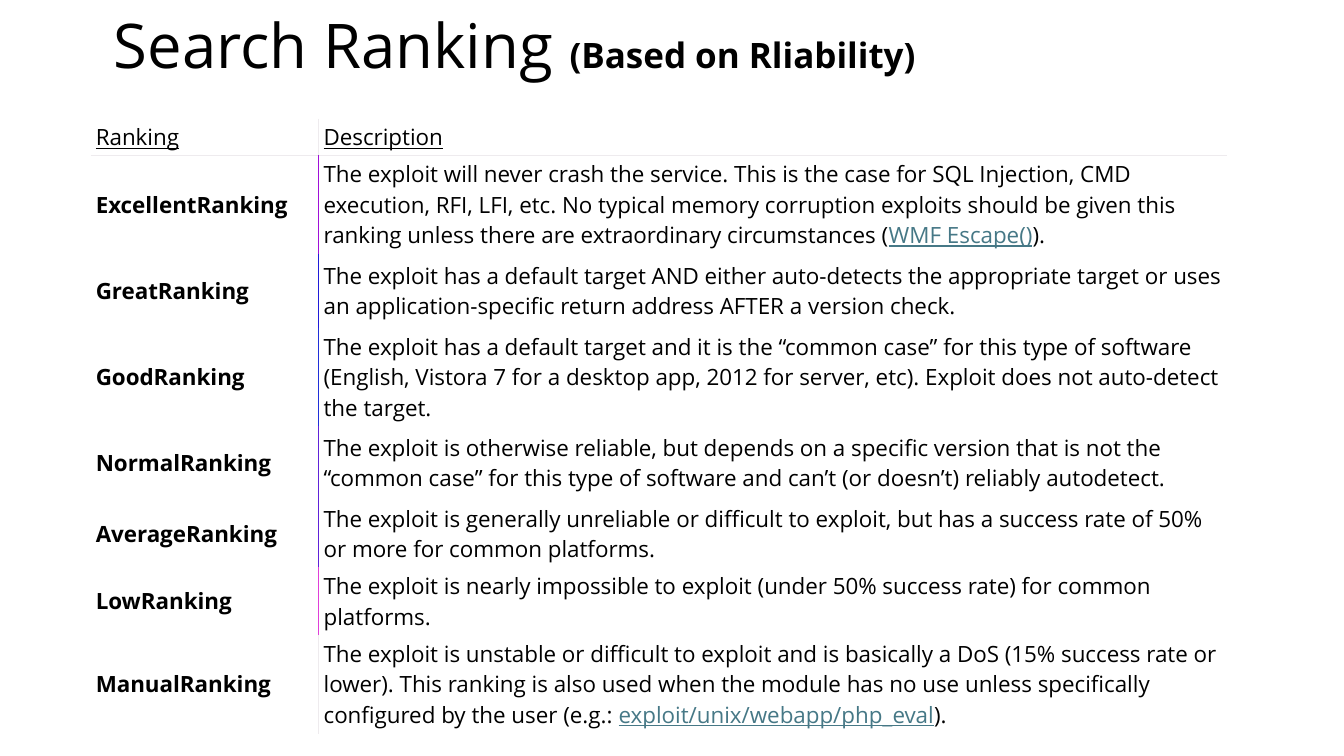
from dataclasses import dataclass

from lxml import etree
from pptx import Presentation
from pptx import util as u
from pptx.dml.color import RGBColor
from pptx.enum import text
from pptx.oxml import ns

# Content: each text is a list of (words, style) spans
TITLE = [("Search Ranking ", "title"), ("(Based on Rliability)", "subtitle")]
HEADER = ("Ranking", "Description")
# ranking, description spans, colour of the column divider
RANKINGS = [
    ("ExcellentRanking", [
        ("The exploit will never crash the service. This is the case for SQL Injection, "
         "CMD execution, RFI, LFI, etc. No typical memory corruption exploits should be "
         "given this ranking unless there are extraordinary circumstances (", "body"),
        ("WMF Escape()", "link"), (").", "body")], "A010D9"),
    ("GreatRanking", [
        ("The exploit has a default target AND either auto-detects the appropriate target "
         "or uses an application-specific return address AFTER a version check.", "body"),
    ], "201BD9"),
    ("GoodRanking", [
        ("The exploit has a default target and it is the “common case” for this type of "
         "software (English, Vistora 7 for a desktop app, 2012 for server, etc). Exploit "
         "does not auto-detect the target.", "body")], "202FD9"),
    ("NormalRanking", [
        ("The exploit is otherwise reliable, but depends on a specific version that is not "
         "the “common case” for this type of software and can’t (or doesn’t) reliably "
         "autodetect.", "body")], "6023D9"),
    ("AverageRanking", [
        ("The exploit is generally unreliable or difficult to exploit, but has a success "
         "rate of 50% or more for common platforms.", "body")], "6021D9"),
    ("LowRanking", [
        ("The exploit is nearly impossible to exploit (under 50% success rate) for common "
         "platforms.", "body")], "E03FD9"),
    ("ManualRanking", [
        ("The exploit is unstable or difficult to exploit and is basically a DoS (15% "
         "success rate or lower). This ranking is also used when the module has no use "
         "unless specifically configured by the user (e.g.: ", "body"),
        ("exploit/unix/webapp/php_eval", "link"), (").", "body")], "EEEBEE"),
]

# Layout in inches
PAGE_SIZE = (13.33, 7.5)
TITLE_BOX = (1.03, 0, 11.5, 0.97)
TABLE_CORNER = (0.9, 1.18)
COLUMNS = (2.26, 9.01)
ROWS = (0.36, 0.98, 0.73, 0.98, 0.73, 0.67, 0.67, 0.98)
CELL_INSETS = (0.05, 0.03)


@dataclass(frozen=True)
class Theme:
    font: str = "Open Sans"
    ink: str = "000000"
    link: str = "467886"
    paper: str = "FFFFFF"
    rule: str = "EEEBEE"
    rule_width: float = 0.6
    title: int = 44
    subtitle: int = 25
    body: int = 16


THEME = Theme()
# style: size, bold, underline, colour
STYLES = {
    "title": (THEME.title, False, False, THEME.ink),
    "subtitle": (THEME.subtitle, True, False, THEME.ink),
    "header": (THEME.body, False, True, THEME.ink),
    "name": (THEME.body, True, False, THEME.ink),
    "body": (THEME.body, False, False, THEME.ink),
    "link": (THEME.body, False, True, THEME.link),
}


def set_font(font, style):
    size, font.bold, font.underline, colour = STYLES[style]
    font.name = THEME.font
    font.size = u.Pt(size)
    font.color.rgb = RGBColor.from_string(colour)


def write(para, spans):
    if len(spans) == 1:
        set_font(para.font, spans[0][1])
    for words, style in spans:
        span = para.add_run()
        span.text = words
        if len(spans) > 1:
            set_font(span.font, style)


def set_borders(cell, colours):
    """Draw the edges named in colours (L, R, T, B) and clear the others."""
    properties = cell._tc.get_or_add_tcPr()
    for edge in "LRTB":
        line = etree.SubElement(properties, ns.qn(f"a:ln{edge}"),
                                w=str(u.Pt(THEME.rule_width)))
        if edge in colours:
            fill = etree.SubElement(line, ns.qn("a:solidFill"))
            etree.SubElement(fill, ns.qn("a:srgbClr"), val=colours[edge])
        else:
            etree.SubElement(line, ns.qn("a:noFill"))


def add_title(page):
    box = page.shapes.add_textbox(*map(u.Inches, TITLE_BOX))
    frame = box.text_frame
    frame.word_wrap = True
    frame.vertical_anchor = text.MSO_ANCHOR.MIDDLE
    para = frame.paragraphs[0]
    para.line_spacing = 0.9
    write(para, TITLE)


def add_rankings(page):
    size = (sum(COLUMNS), sum(ROWS))
    table = page.shapes.add_table(len(ROWS), len(COLUMNS),
                                  *map(u.Inches, TABLE_CORNER + size)).table
    table.first_row = table.horz_banding = False
    for column, width in zip(table.columns, COLUMNS):
        column.width = u.Inches(width)
    for row, height in zip(table.rows, ROWS):
        row.height = u.Inches(height)

    header = ([(words, "header")] for words in HEADER)
    lines = [(*header, THEME.rule)]
    lines += [([(name, "name")], spans, divider) for name, spans, divider in RANKINGS]
    for r, (*cells, divider) in enumerate(lines):
        for c, spans in enumerate(cells):
            cell = table.cell(r, c)
            cell.vertical_anchor = text.MSO_ANCHOR.MIDDLE
            cell.margin_left = cell.margin_right = u.Inches(CELL_INSETS[0])
            cell.margin_top = cell.margin_bottom = u.Inches(CELL_INSETS[1])
            borders = {"RL"[c]: divider}
            if r < 2:  # the rule under the header
                borders["BT"[r]] = THEME.rule
            set_borders(cell, borders)
            cell.fill.solid()
            cell.fill.fore_color.rgb = RGBColor.from_string(THEME.paper)
            write(cell.text_frame.paragraphs[0], spans)


def main():
    deck = Presentation()
    deck.slide_width, deck.slide_height = map(u.Inches, PAGE_SIZE)
    page = deck.slides.add_slide(deck.slide_layouts[6])
    add_title(page)
    add_rankings(page)
    deck.save("out.pptx")


if __name__ == "__main__":
    main()
